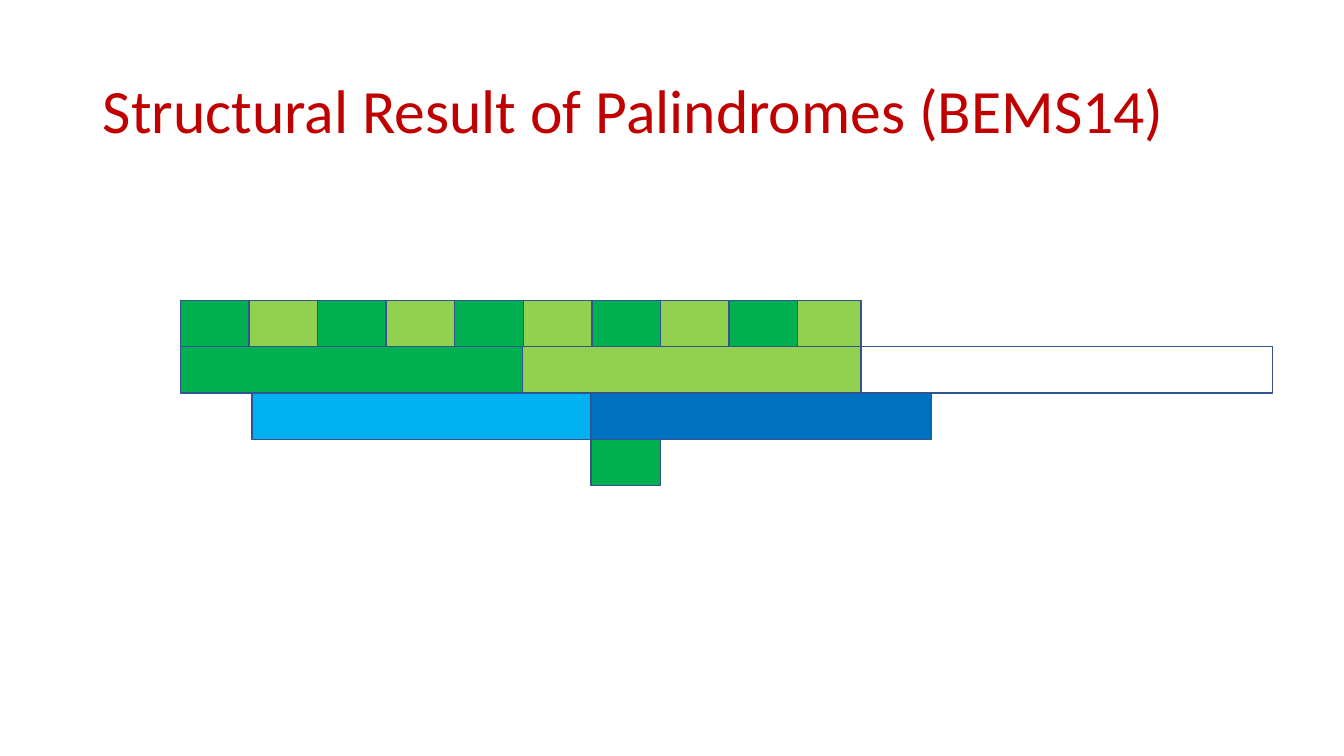
import pptx
import pptx.dml.color
import pptx.enum.shapes
import pptx.enum.text
import pptx.util

Inches = pptx.util.Inches
RGBColor = pptx.dml.color.RGBColor

RED = RGBColor(0xC0, 0x00, 0x00)
GREEN = RGBColor(0x00, 0xB0, 0x50)
LIME = RGBColor(0x92, 0xD0, 0x50)
SKY = RGBColor(0x00, 0xB0, 0xF0)
BLUE = RGBColor(0x00, 0x70, 0xC0)
WHITE = RGBColor(0xFF, 0xFF, 0xFF)
OUTLINE = RGBColor(0x32, 0x54, 0x91)

ROW_TOP = 2.98
ROW_HEIGHT = 0.46
ROW_LEFT = 1.79
CELL_WIDTH = 0.68
CELL_COUNT = 10
PALINDROME_END = 8.54

presentation = pptx.Presentation()
presentation.slide_width = Inches(13.33)
presentation.slide_height = Inches(7.5)
slide = presentation.slides.add_slide(presentation.slide_layouts[5])

# Title
title = slide.shapes.title
title.left, title.top = Inches(0.92), Inches(0.4)
title.width, title.height = Inches(11.5), Inches(1.45)
title.text_frame.text = "Structural Result of Palindromes (BEMS14)"
title.text_frame.vertical_anchor = pptx.enum.text.MSO_ANCHOR.MIDDLE
paragraph = title.text_frame.paragraphs[0]
paragraph.alignment = pptx.enum.text.PP_ALIGN.LEFT
paragraph.line_spacing = 0.9
paragraph.font.name = "Calibri"
paragraph.font.size = pptx.util.Pt(44)
paragraph.font.color.rgb = RED

# Bars below the top row: row, left, right, fill
bars = [
    (1, ROW_LEFT, 5.18, GREEN),
    (1, PALINDROME_END, 12.62, WHITE),
    (1, 5.18, PALINDROME_END, LIME),
    (2, 2.5, 5.86, SKY),
    (2, 5.86, 9.24, BLUE),
    (3, 5.86, 6.55, GREEN),
]

# Top row: alternating cells, the last one ending with the palindrome
for index in range(CELL_COUNT):
    left = ROW_LEFT + index * CELL_WIDTH
    right = min(left + CELL_WIDTH, PALINDROME_END)
    bars.append((0, left, right, LIME if index % 2 else GREEN))

# Draw all bars
for row, left, right, fill in bars:
    shape = slide.shapes.add_shape(
        pptx.enum.shapes.MSO_SHAPE.RECTANGLE,
        Inches(left), Inches(ROW_TOP + row * ROW_HEIGHT),
        Inches(right - left), Inches(ROW_HEIGHT))
    shape.shadow.inherit = False
    shape.fill.solid()
    shape.fill.fore_color.rgb = fill
    shape.line.color.rgb = OUTLINE
    shape.line.width = pptx.util.Pt(1)

presentation.save("out.pptx")
